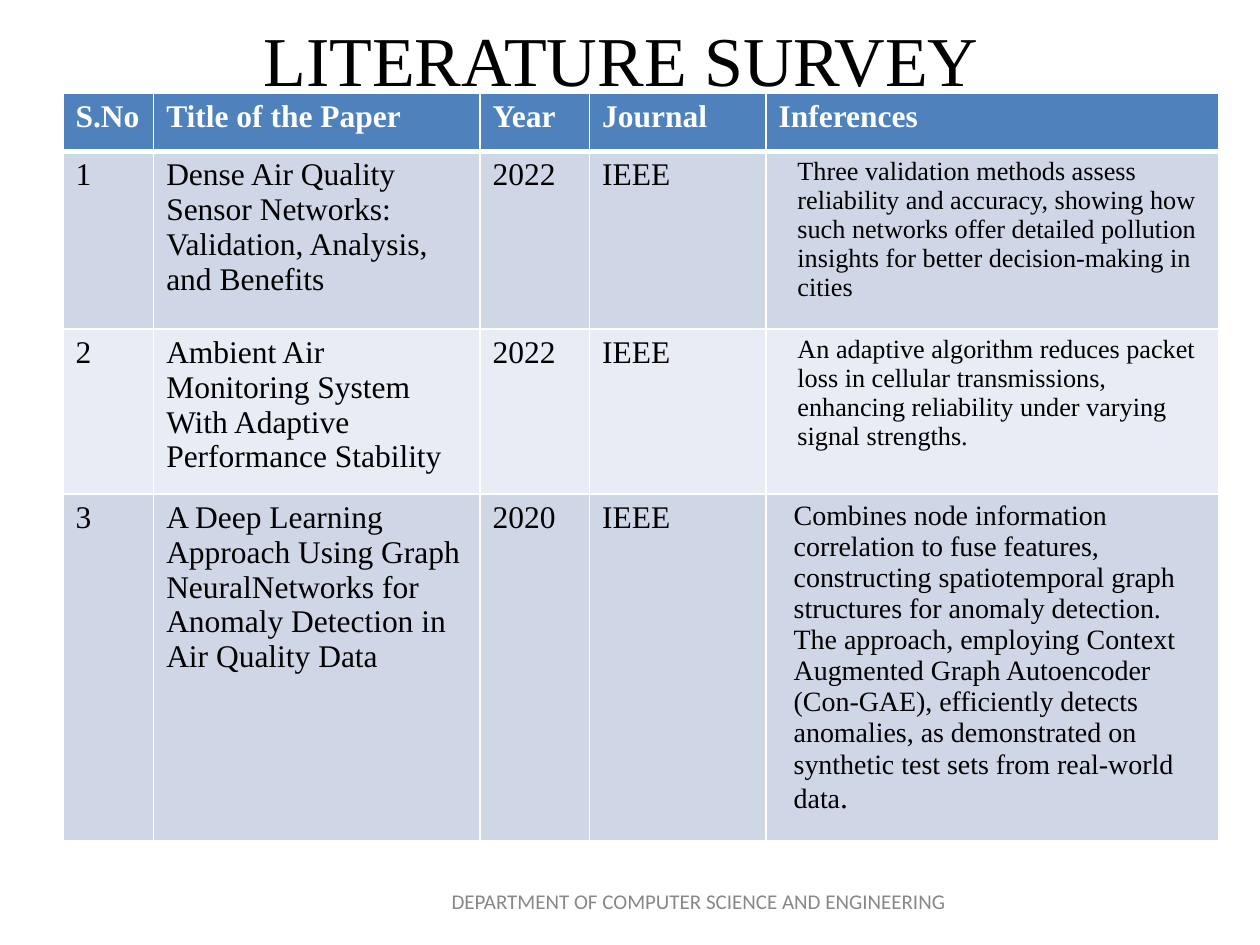
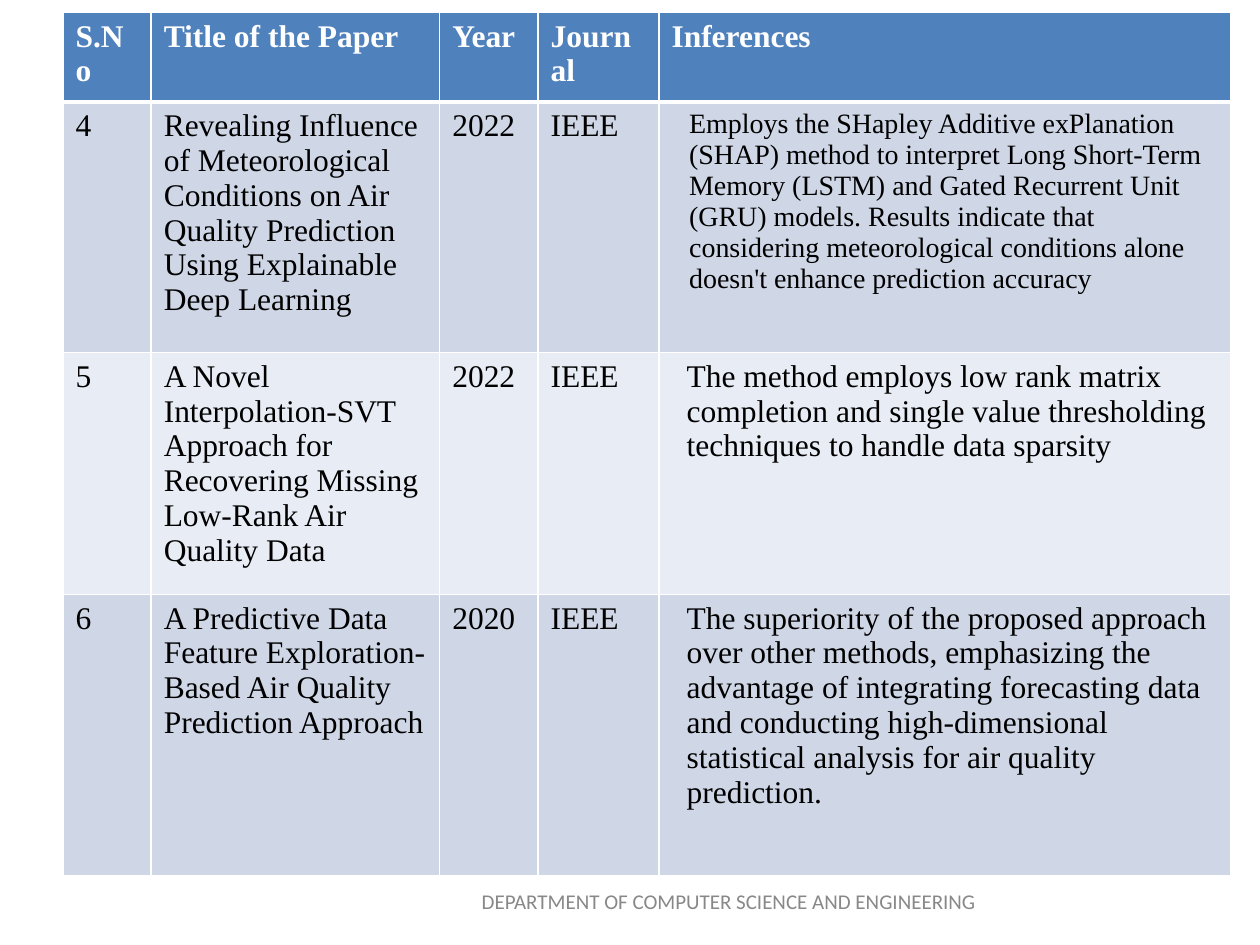
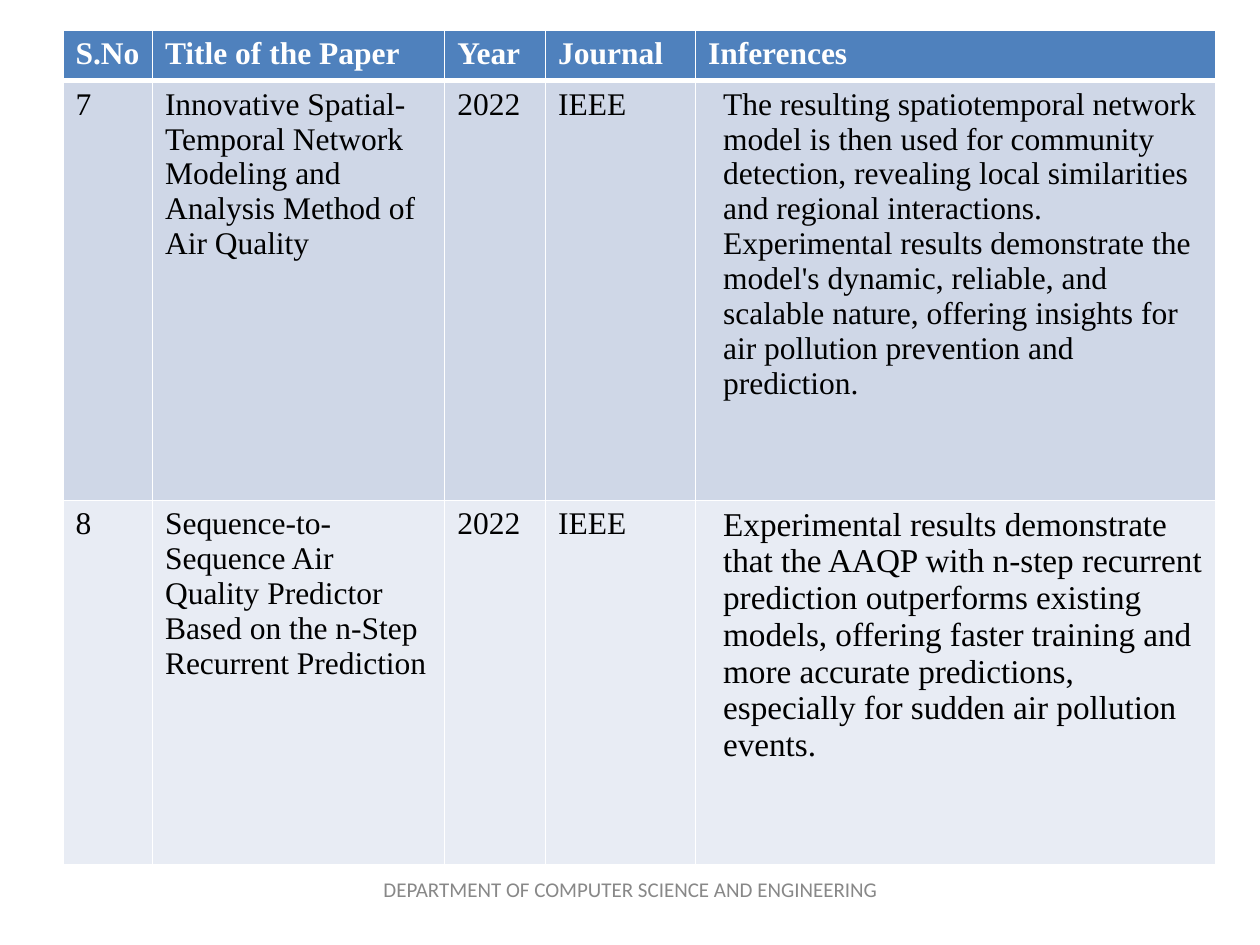
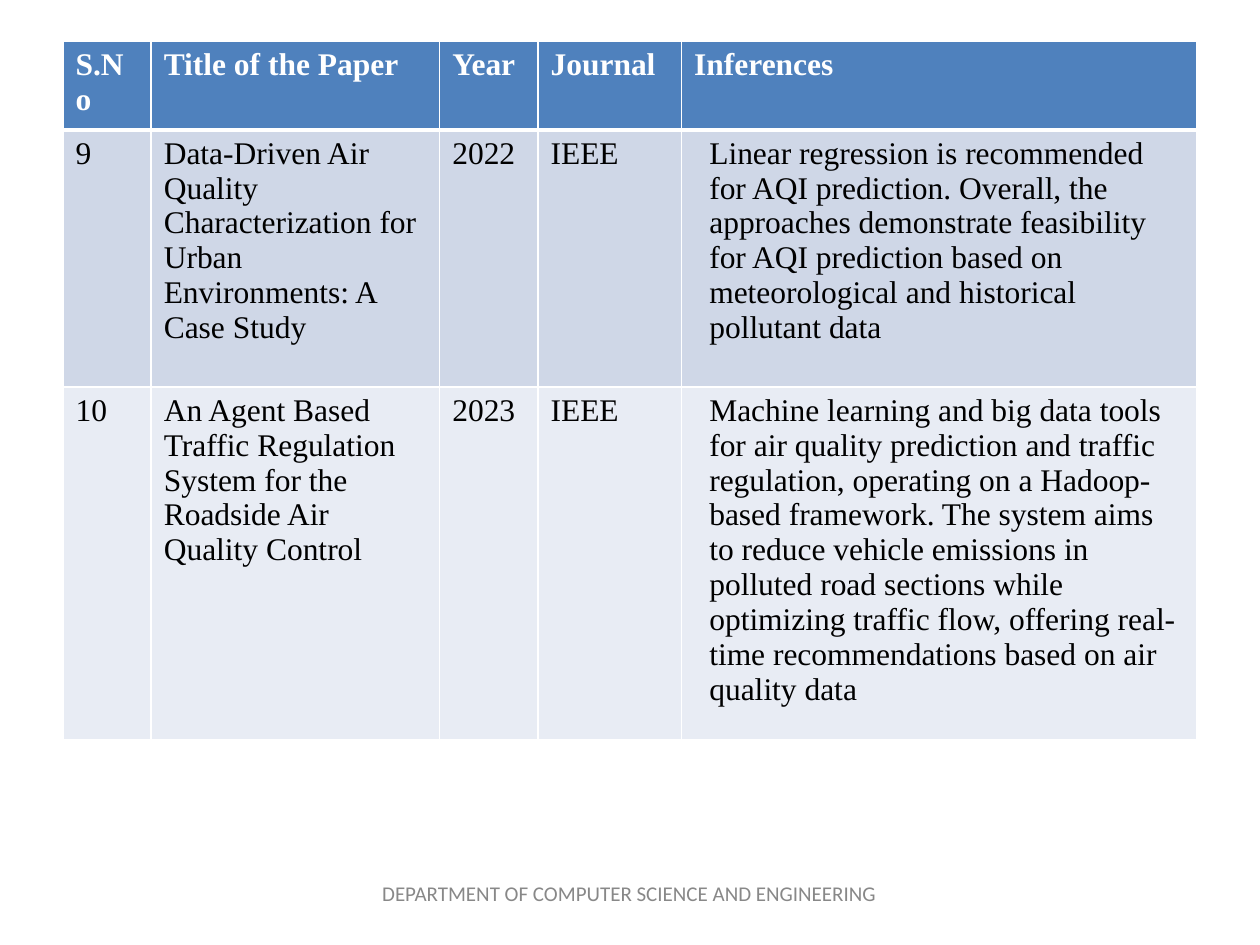
from dataclasses import dataclass

from pptx import Presentation
from pptx.dml.color import RGBColor
from pptx.enum.text import MSO_ANCHOR, PP_ALIGN
from pptx.oxml import parse_xml
from pptx.oxml.ns import nsdecls
from pptx.util import Inches, Pt


@dataclass(frozen=True)
class Theme:
    serif: str = "Times New Roman"
    sans: str = "Calibri"
    black: str = "000000"
    white: str = "FFFFFF"
    grey: str = "888888"
    header: str = "4F81BD"
    bands: tuple = ("CFD7E7", "E8ECF4")
    title_size: int = 40
    table_size: int = 18
    footer_size: int = 12
    rule: int = 1
    header_rule: int = 3


@dataclass(frozen=True)
class Paper:
    number: int
    title: str
    year: int
    inference: str
    size: int = 18
    indent: float = 0.12
    full_stop: str = ""
    journal: str = "IEEE"


HEADINGS = ("S.No", "Title of the Paper", "Year", "Journal", "Inferences")
FOOTER = "DEPARTMENT OF COMPUTER SCIENCE AND ENGINEERING"
TABLE_LEFT = 0.5


class Deck:
    def __init__(self, theme):
        self.theme = theme
        self.prs = Presentation()
        self.prs.slide_width, self.prs.slide_height = Inches(10), Inches(7.5)
        self.s = None

    def add_slide(self, title=None):
        self.s = self.prs.slides.add_slide(self.prs.slide_layouts[5 if title else 6])
        if title:
            self.add_title(title)

    def style(self, p, font, size, color, bold=False):
        for r in p.runs:
            r.font.name, r.font.size, r.font.bold = font, Pt(size), bold
            r.font.color.rgb = RGBColor.from_string(color)

    def add_title(self, text):
        sp = self.s.shapes.title
        sp.left, sp.top, sp.width, sp.height = map(Inches, (0.43, -0.16, 9, 1.25))
        self.centre(sp.text_frame, text, self.theme.serif, self.theme.title_size, self.theme.black)

    def add_footer(self, left, top, width):
        sp = self.s.shapes.add_textbox(*map(Inches, (left, top, width, 0.4)))
        self.centre(sp.text_frame, FOOTER, self.theme.sans, self.theme.footer_size, self.theme.grey)

    def centre(self, tf, text, font, size, color):
        tf.text = text
        tf.word_wrap = True
        tf.vertical_anchor = MSO_ANCHOR.MIDDLE
        p = tf.paragraphs[0]
        p.alignment = PP_ALIGN.CENTER
        self.style(p, font, size, color)

    def add_borders(self, cell, top, bottom):
        widths = {"L": self.theme.rule, "R": self.theme.rule, "T": top, "B": bottom}
        tc_pr = cell._tc.get_or_add_tcPr()
        for side, width in widths.items():
            tc_pr.append(parse_xml(
                f'<a:ln{side} {nsdecls("a")} w="{Pt(width)}"><a:solidFill>'
                f'<a:srgbClr val="{self.theme.white}"/></a:solidFill></a:ln{side}>'))

    def add_cell(self, table, row, col, text):
        t = self.theme
        cell = table.cell(row, col)
        self.add_borders(cell, t.header_rule if row == 1 else t.rule,
                         t.header_rule if row == 0 else t.rule)
        cell.fill.solid()
        fill = t.bands[(row - 1) % 2] if row else t.header
        cell.fill.fore_color.rgb = RGBColor.from_string(fill)
        cell.text_frame.text = text
        p = cell.text_frame.paragraphs[0]
        self.style(p, t.serif, t.table_size, t.black if row else t.white, bold=row == 0)
        return p

    def add_survey(self, top, widths, heights, papers):
        frame = self.s.shapes.add_table(
            len(heights), len(widths), Inches(TABLE_LEFT), Inches(top),
            Inches(sum(widths)), Inches(sum(heights)))
        table = frame.table
        for column, width in zip(table.columns, widths):
            column.width = Inches(width)
        for row, height in zip(table.rows, heights):
            row.height = Inches(height)
        for col, heading in enumerate(HEADINGS):
            self.add_cell(table, 0, col, heading)
        for row, paper in enumerate(papers, 1):
            values = (paper.number, paper.title, paper.year, paper.journal)
            for col, value in enumerate(values):
                self.add_cell(table, row, col, str(value))
            self.add_inference(table, row, paper)

    def add_inference(self, table, row, paper):
        p = self.add_cell(table, row, len(HEADINGS) - 1, paper.inference)
        p._p.get_or_add_pPr().set("marL", str(Inches(paper.indent)))
        if paper.full_stop:
            p.add_run().text = paper.full_stop
            self.style(p, self.theme.serif, self.theme.table_size, self.theme.black)
        p.runs[0].font.size = Pt(paper.size)


PAPERS = (
    Paper(1, "Dense Air Quality Sensor Networks: Validation, Analysis, and Benefits", 2022,
          "Three validation methods assess reliability and accuracy, showing how such networks "
          "offer detailed pollution insights for better decision-making in cities",
          size=15, indent=0.15),
    Paper(2, "Ambient Air Monitoring System With Adaptive Performance Stability", 2022,
          "An adaptive algorithm reduces packet loss in cellular transmissions, enhancing "
          "reliability under varying signal strengths.", size=15, indent=0.15),
    Paper(3, "A Deep Learning Approach Using Graph NeuralNetworks for Anomaly Detection in "
          "Air Quality Data", 2020,
          "Combines node information correlation to fuse features, constructing spatiotemporal "
          "graph structures for anomaly detection. The approach, employing Context Augmented "
          "Graph Autoencoder (Con-GAE), efficiently detects anomalies, as demonstrated on "
          "synthetic test sets from real-world data", size=16, full_stop="."),
    Paper(4, "Revealing Influence of Meteorological Conditions on Air Quality Prediction Using "
          "Explainable Deep Learning", 2022,
          "Employs the SHapley Additive exPlanation (SHAP) method to interpret Long Short-Term "
          "Memory (LSTM) and Gated Recurrent Unit (GRU) models. Results indicate that considering "
          "meteorological conditions alone doesn't enhance prediction accuracy",
          size=16, indent=0.14),
    Paper(5, "A Novel Interpolation-SVT Approach for Recovering Missing Low-Rank Air Quality Data",
          2022,
          "The method employs low rank matrix completion and single value thresholding techniques "
          "to handle data sparsity"),
    Paper(6, "A Predictive Data Feature Exploration-Based Air Quality Prediction Approach", 2020,
          "The superiority of the proposed approach over other methods, emphasizing the advantage "
          "of integrating forecasting data and conducting high-dimensional statistical analysis "
          "for air quality prediction."),
    Paper(7, "Innovative Spatial-Temporal Network Modeling and Analysis Method of Air Quality",
          2022,
          "The resulting spatiotemporal network model is then used for community detection, "
          "revealing local similarities and regional interactions. Experimental results "
          "demonstrate the model's dynamic, reliable, and scalable nature, offering insights for "
          "air pollution prevention and prediction."),
    Paper(8, "Sequence-to-Sequence Air Quality Predictor Based on the n-Step Recurrent Prediction",
          2022,
          "Experimental results demonstrate that the AAQP with n-step recurrent prediction "
          "outperforms existing models, offering faster training and more accurate predictions, "
          "especially for sudden air pollution events.", size=19),
    Paper(9, "Data-Driven Air Quality Characterization for Urban Environments: A Case Study", 2022,
          "Linear regression is recommended for AQI prediction. Overall, the approaches "
          "demonstrate feasibility for AQI prediction based on meteorological and historical "
          "pollutant data"),
    Paper(10, "An Agent Based Traffic Regulation System for the Roadside Air Quality Control",
          2023,
          "Machine learning and big data tools for air quality prediction and traffic regulation, "
          "operating on a Hadoop-based framework. The system aims to reduce vehicle emissions in "
          "polluted road sections while optimizing traffic flow, offering real-time "
          "recommendations based on air quality data"),
)

# slide title, table top, column widths, row heights, footer (left, top, width)
PAGES = (
    ("LITERATURE SURVEY", 0.74, (0.72, 2.59, 0.87, 1.4, 3.59), (0.46, 1.41, 1.31, 2.75),
     (3.42, 6.95, 4.25)),
    (None, 0.1, (0.7, 2.29, 0.78, 0.96, 4.54), (0.71, 1.99, 1.92, 2.23), (3.42, 6.95, 4.73)),
    (None, 0.24, (0.71, 2.32, 0.8, 1.19, 4.13), (0.39, 3.33, 2.89), (2.78, 6.86, 4.45)),
    (None, 0.33, (0.7, 2.29, 0.78, 1.14, 4.09), (0.64, 2.04, 2.59), (2.68, 6.89, 4.63)),
)


def main():
    deck = Deck(Theme())
    papers = iter(PAPERS)
    for title, top, widths, heights, footer in PAGES:
        deck.add_slide(title)
        deck.add_survey(top, widths, heights, [next(papers) for _ in heights[1:]])
        deck.add_footer(*footer)
    deck.prs.save("out.pptx")


if __name__ == "__main__":
    main()
